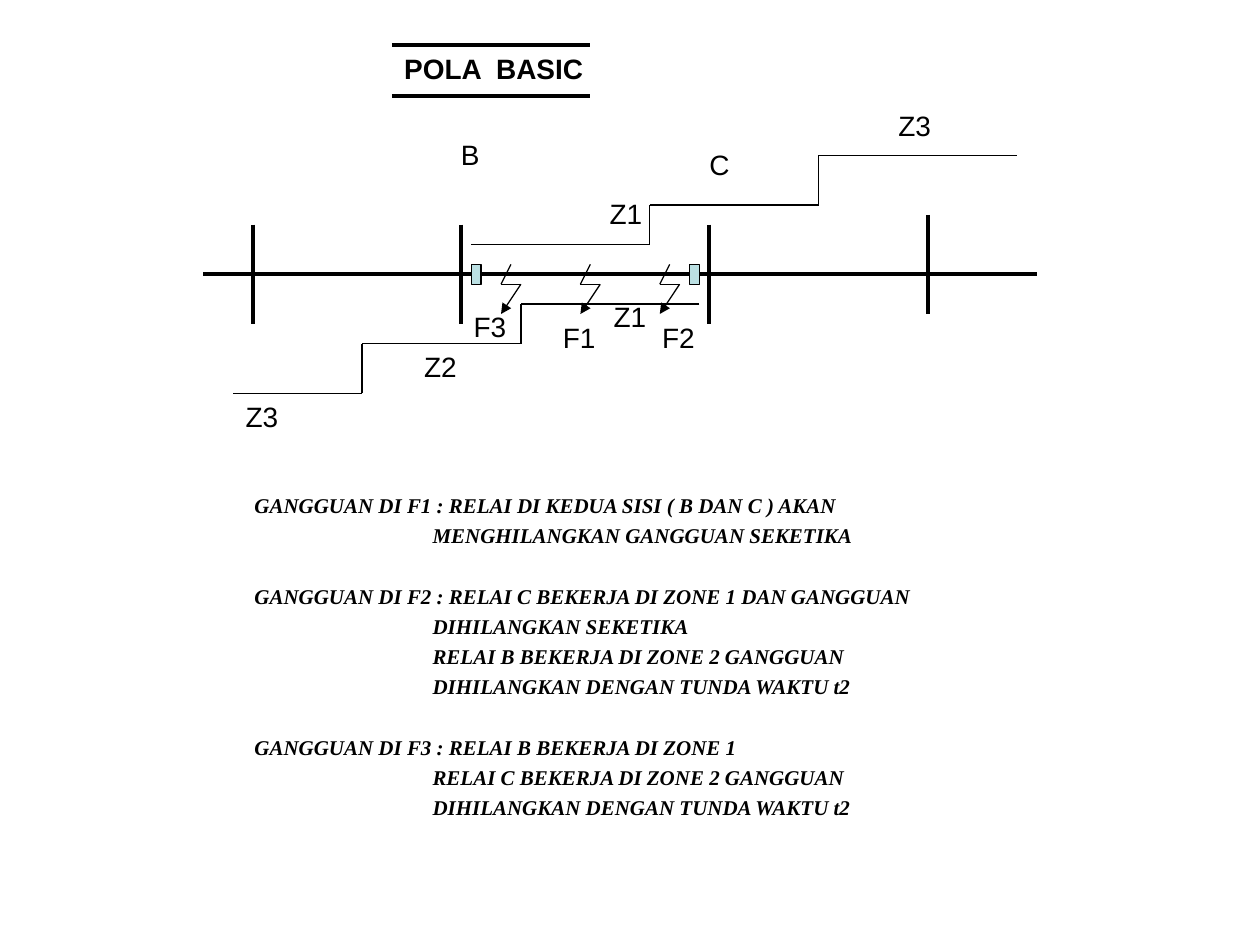
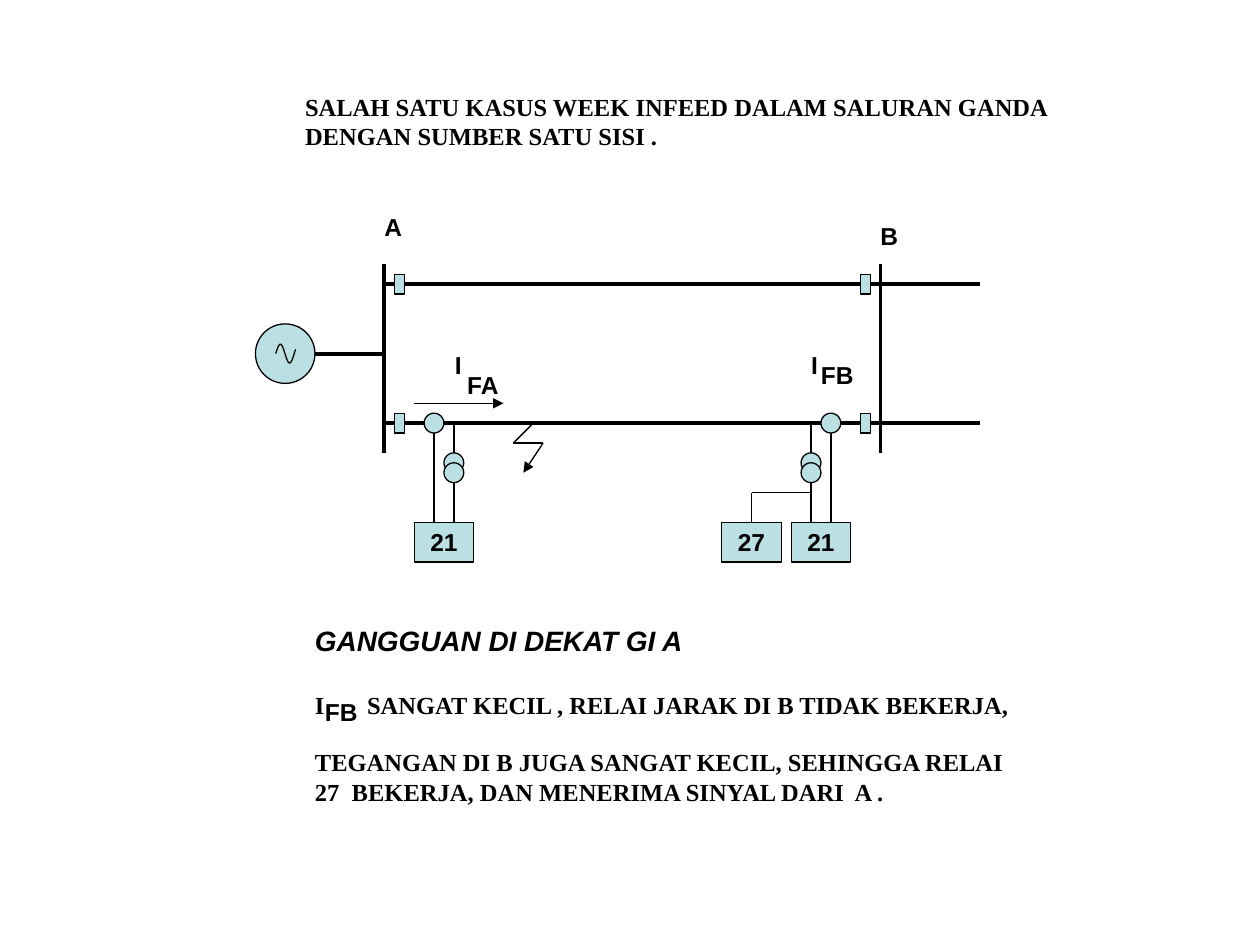
from itertools import pairwise
from math import pi, sin

from lxml import etree
from pptx import Presentation
from pptx.dml.color import RGBColor
from pptx.enum.shapes import MSO_CONNECTOR, MSO_SHAPE
from pptx.enum.text import MSO_ANCHOR, PP_ALIGN
from pptx.oxml.ns import qn
from pptx.util import Cm, Pt

STRAIGHT = MSO_CONNECTOR.STRAIGHT
RECTANGLE = MSO_SHAPE.RECTANGLE
OVAL = MSO_SHAPE.OVAL
MIDDLE = MSO_ANCHOR.MIDDLE
CENTER = PP_ALIGN.CENTER
BLANK_LAYOUT = 6
TOP_SIDE = 0

INK = "000000"
DEVICE = "BBE0E3"
SANS = "Arial"
SERIF = "Times New Roman"
THICK = 2.25
THIN = 0.75


def color(hex_string):
    """Turn a hex string into a colour."""
    return RGBColor.from_string(hex_string)


class Diagram:
    """Hold the shared style and draw elements on the current slide, in centimetres."""

    def __init__(self):
        """Start an empty presentation of 10 by 7.5 inches."""
        self.presentation = Presentation()
        self.presentation.slide_width = Cm(25.4)
        self.presentation.slide_height = Cm(19.05)
        self.slide = None

    def new_slide(self):
        """Add a blank slide and make it current."""
        layout = self.presentation.slide_layouts[BLANK_LAYOUT]
        self.slide = self.presentation.slides.add_slide(layout)

    def line(self, start, end, width=THIN, arrow=False):
        """Draw a straight line between two points."""
        connector = self.slide.shapes.add_connector(
            STRAIGHT, *(Cm(value) for value in (*start, *end)))
        connector.line.color.rgb = color(INK)
        connector.line.width = Pt(width)
        if arrow:
            outline = connector.line._get_or_add_ln()
            etree.SubElement(outline, qn("a:tailEnd"), type="triangle")
        etree.SubElement(connector._element.spPr, qn("a:effectLst"))
        return connector

    def polyline(self, points, arrow=False):
        """Join successive points by thin lines and return the last line."""
        segments = list(pairwise(points))
        for start, end in segments[:-1]:
            self.line(start, end)
        return self.line(*segments[-1], arrow=arrow)

    def fault(self, x, y, offsets):
        """Draw a lightning arrow that starts at a point."""
        points = [(x, y)] + [(x + right, y + down) for right, down in offsets]
        self.polyline(points, arrow=True)

    def device(self, kind, left, top, width, height, text=""):
        """Draw a filled symbol, with a bold caption if there is one."""
        shape = self.slide.shapes.add_shape(
            kind, Cm(left), Cm(top), Cm(width), Cm(height))
        shape.shadow.inherit = False
        shape.fill.solid()
        shape.fill.fore_color.rgb = color(DEVICE)
        shape.line.color.rgb = color(INK)
        shape.line.width = Pt(THIN)
        if text:
            frame = shape.text_frame
            frame.word_wrap = False
            frame.vertical_anchor = MIDDLE
            frame.text = text
            frame.paragraphs[0].alignment = CENTER
            self.format(frame.paragraphs[0], 14, bold=True)
        return shape

    def breaker(self, left, top):
        """Draw a circuit breaker."""
        self.device(RECTANGLE, left, top, 0.2, 0.4)

    def transformer(self, left, top):
        """Draw one winding of an instrument transformer."""
        self.device(OVAL, left, top, 0.4, 0.4)

    def sine_wave(self, left, middle, width, amplitude):
        """Draw a sine wave of a little over one period."""
        steps = 40
        points = [(Cm(left + width * step / steps),
                   Cm(middle - amplitude * sin(2.15 * pi * step / steps)))
                  for step in range(steps + 1)]
        builder = self.slide.shapes.build_freeform(*points[0])
        builder.add_line_segments(points[1:], close=False)
        shape = builder.convert_to_shape()
        shape.shadow.inherit = False
        shape.fill.background()
        shape.line.color.rgb = color(INK)
        shape.line.width = Pt(THIN)

    def format(self, paragraph, size, font=SANS, bold=False, italic=False):
        """Format every run of a paragraph."""
        for run in paragraph.runs:
            run.font.name = font
            run.font.size = Pt(size)
            run.font.bold = bold
            run.font.italic = italic
            run.font.color.rgb = color(INK)

    def text_box(self, left, top, width, height, lines, wrap=True):
        """Add a text box with one paragraph for each line and return the paragraphs."""
        box = self.slide.shapes.add_textbox(Cm(left), Cm(top), Cm(width), Cm(height))
        frame = box.text_frame
        frame.word_wrap = wrap
        frame.text = "\n".join(lines)
        return frame.paragraphs

    def label(self, text, left, top, width=1.17, size=16, bold=False):
        """Add a one-line label."""
        height = 0.94 if size == 16 else 0.86
        paragraphs = self.text_box(left, top, width, height, [text], wrap=False)
        self.format(paragraphs[0], size, bold=bold)


def draw_basic_scheme(diagram):
    """Draw the basic scheme with its distance zones and fault cases."""
    diagram.new_slide()
    line_y = 5.53
    diagram.line((4.1, line_y), (20.9, line_y), THICK)
    for bus_x, bus_top in ((5.1, 4.53), (9.3, 4.53), (14.3, 4.53), (18.7, 4.33)):
        diagram.line((bus_x, bus_top), (bus_x, bus_top + 2), THICK)
    for breaker_x in (9.5, 13.9):
        diagram.breaker(breaker_x, line_y - 0.2)

    diagram.polyline([(9.5, 4.93), (13.1, 4.93), (13.1, 4.13),
                      (16.5, 4.13), (16.5, 3.13), (20.5, 3.13)])
    diagram.polyline([(14.1, 6.13), (10.5, 6.13), (10.5, 6.93),
                      (7.3, 6.93), (7.3, 7.93), (4.7, 7.93)])
    for fault_x in (10.3, 11.9, 13.5):
        diagram.fault(fault_x, 5.33, [(-0.2, 0.4), (0.2, 0.4), (-0.2, 1)])

    for text, left, top in (
            ("Z1", 12.04, 3.84), ("Z3", 17.86, 2.06), ("Z1", 12.12, 5.92),
            ("Z2", 8.3, 6.93), ("Z3", 4.7, 7.93), ("F1", 11.1, 6.33),
            ("F2", 13.1, 6.33), ("F3", 9.3, 6.12)):
        diagram.label(text, left, top)
    diagram.label("B", 9.04, 2.64, 0.9)
    diagram.label("C", 14.05, 2.84, 0.9)

    diagram.label("POLA  BASIC", 7.9, 0.91, 4.14, bold=True)
    for rule_y in (0.91, 1.93):
        diagram.line((7.9, rule_y), (11.9, rule_y), THICK)

    cases = [
        "GANGGUAN DI F1 : RELAI DI KEDUA SISI ( B DAN C ) AKAN",
        "MENGHILANGKAN GANGGUAN SEKETIKA",
        "GANGGUAN DI F2 : RELAI C BEKERJA DI ZONE 1 DAN GANGGUAN",
        "DIHILANGKAN SEKETIKA",
        "RELAI B BEKERJA DI ZONE 2 GANGGUAN",
        "DIHILANGKAN DENGAN TUNDA WAKTU t2",
        "GANGGUAN DI F3 : RELAI B BEKERJA DI ZONE 1",
        "RELAI C BEKERJA DI ZONE 2 GANGGUAN",
        "DIHILANGKAN DENGAN TUNDA WAKTU t2",
    ]
    paragraphs = diagram.text_box(4.88, 9.7, 13.9, 7.77, cases)
    for index, paragraph in enumerate(paragraphs):
        paragraph.line_spacing = 1.2
        diagram.format(paragraph, 12, SERIF, bold=True, italic=True)
        if not paragraph.text.startswith("GANGGUAN DI"):
            paragraph._p.get_or_add_pPr().set("marL", str(Cm(3.59)))
        elif index:
            paragraph.space_before = Pt(17.3)


def draw_weak_infeed(diagram):
    """Draw the weak infeed case on a double line fed from one side."""
    diagram.new_slide()
    bus_a, bus_b = 7.75, 17.75
    upper_line, lower_line, source_y = 5.73, 8.53, 7.13
    relay_top = 10.53

    for line_y in (upper_line, lower_line):
        diagram.line((bus_a, line_y), (19.75, line_y), THICK)
    for bus_x in (bus_a, bus_b):
        diagram.line((bus_x, 5.33), (bus_x, 9.13), THICK)
    diagram.line((bus_a, source_y), (6.35, source_y), THICK)
    diagram.device(OVAL, 5.15, source_y - 0.6, 1.2, 1.2)
    diagram.sine_wave(5.56, source_y, 0.4, 0.19)
    for line_y in (upper_line, lower_line):
        for breaker_x in (bus_a + 0.2, bus_b - 0.4):
            diagram.breaker(breaker_x, line_y - 0.2)

    for current_x, voltage_x in ((8.75, 9.15), (16.75, 16.35)):
        diagram.transformer(current_x - 0.2, lower_line - 0.2)
        diagram.line((current_x, 8.73), (current_x, relay_top))
        diagram.line((voltage_x, lower_line), (voltage_x, 9.13))
        for winding_top in (9.13, 9.33):
            diagram.transformer(voltage_x - 0.2, winding_top)
        diagram.line((voltage_x, 9.73), (voltage_x, relay_top))
        relay_left = min(current_x, voltage_x) - 0.4
        diagram.device(RECTANGLE, relay_left, relay_top, 1.2, 0.8, "21")
    voltage_relay = diagram.device(RECTANGLE, 14.55, relay_top, 1.2, 0.8, "27")
    branch = diagram.polyline([(16.35, 9.93), (15.15, 9.93), (15.15, relay_top)])
    branch.end_connect(voltage_relay, TOP_SIDE)

    diagram.fault(10.75, lower_line, [(-0.4, 0.4), (0.2, 0.4), (-0.2, 1)])
    diagram.line((8.35, 8.13), (10.15, 8.13), arrow=True)

    heading = diagram.text_box(5.9, 1.73, 16.4, 1.45, [
        "SALAH SATU KASUS WEEK INFEED DALAM SALURAN GANDA",
        "DENGAN SUMBER SATU SISI ."])
    for paragraph in heading:
        diagram.format(paragraph, 14, SERIF, bold=True)

    title, current, *voltage = diagram.text_box(6.1, 12.45, 14.7, 5.18, [
        "GANGGUAN DI DEKAT GI A",
        "I\tSANGAT KECIL , RELAI JARAK DI B TIDAK BEKERJA,",
        "TEGANGAN DI B JUGA SANGAT KECIL, SEHINGGA RELAI",
        "27  BEKERJA, DAN MENERIMA SINYAL DARI  A ."])
    diagram.format(title, 16, bold=True, italic=True)
    for paragraph in (current, *voltage):
        diagram.format(paragraph, 14, SERIF, bold=True)
    current.space_before = Pt(18.4)
    voltage[0].space_before = Pt(16.1)
    tab_stops = etree.SubElement(current._p.get_or_add_pPr(), qn("a:tabLst"))
    etree.SubElement(tab_stops, qn("a:tab"), pos=str(Cm(1.05)), algn="l")

    for text, left, top, width in (
            ("A", 7.5, 4.14, 0.86), ("B", 17.5, 4.33, 0.86),
            ("I", 8.92, 6.93, 0.64), ("FA", 9.17, 7.34, 1.17),
            ("I", 16.1, 6.93, 0.64), ("FB", 16.3, 7.14, 1.17),
            ("FB", 6.3, 13.92, 1.17)):
        diagram.label(text, left, top, width, size=14, bold=True)


def main():
    """Build both slides and save them."""
    diagram = Diagram()
    draw_basic_scheme(diagram)
    draw_weak_infeed(diagram)
    diagram.presentation.save("out.pptx")


if __name__ == "__main__":
    main()
